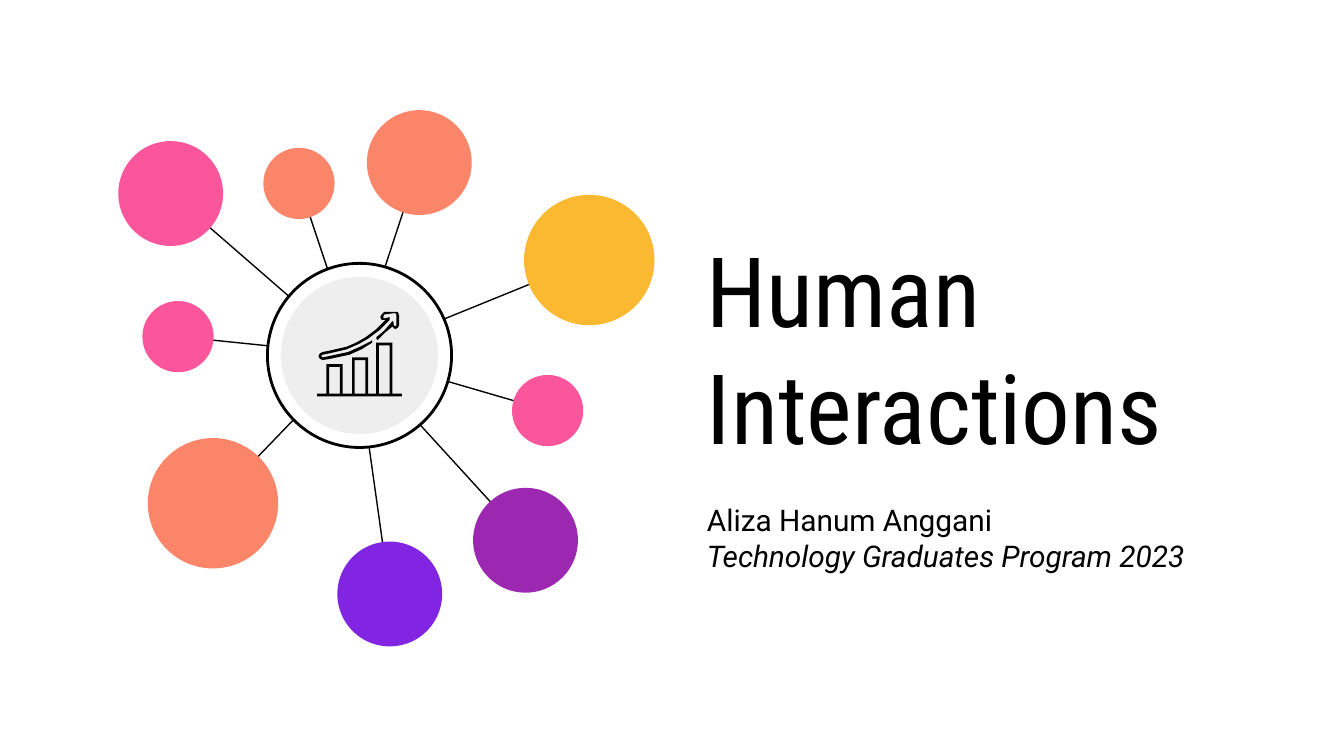
from dataclasses import dataclass

from pptx import Presentation
from pptx.dml.color import RGBColor
from pptx.enum.shapes import MSO_CONNECTOR, MSO_SHAPE
from pptx.enum.text import MSO_ANCHOR, MSO_AUTO_SIZE, PP_ALIGN
from pptx.oxml.ns import qn
from pptx.util import Inches, Pt

Point = tuple[float, float]

BLACK, WHITE, GREY = "000000", "FFFFFF", "EEEEEE"
YELLOW, CORAL, PINK = "FBB831", "FB8569", "FB569C"
PLUM, VIOLET = "9C27B0", "8225E2"
LARGE, MEDIUM, SMALL = 0.97, 0.78, 0.53

WIDTH = Inches(10)
HEIGHT = WIDTH * 9 // 16
HUB = (2.675, 2.645)
JOINT = (2.65, 2.64)  # where the spokes meet


@dataclass
class Node:
    left: float
    top: float
    size: float
    color: str

    @property
    def center(self) -> Point:
        return self.left + self.size / 2, self.top + self.size / 2


@dataclass
class Bar:
    left: float
    top: float


NODES = [
    Node(3.9, 1.45, LARGE, YELLOW),
    Node(1.1, 3.26, LARGE, CORAL),
    Node(2.73, 0.82, MEDIUM, CORAL),
    Node(0.88, 1.05, MEDIUM, PINK),
    Node(3.52, 3.63, MEDIUM, PLUM),
    Node(2.51, 4.03, MEDIUM, VIOLET),
    Node(1.06, 2.24, SMALL, PINK),
    Node(3.81, 2.79, SMALL, PINK),
    Node(1.96, 1.1, SMALL, CORAL),
]

BARS = [Bar(2.45, 2.73), Bar(2.64, 2.68), Bar(2.82, 2.57)]
BAR_WIDTH, EDGE = 0.08, 0.02
AXIS_LEFT, AXIS_RIGHT, AXIS_TOP = 2.36, 2.99, 2.93

ARROW = [
    # upper edge, from the head down to the round tail
    (2.87, 2.38), (2.8, 2.45), (2.72, 2.51), (2.65, 2.55), (2.58, 2.58),
    (2.45, 2.61), (2.4, 2.62), (2.38, 2.63), (2.37, 2.65), (2.38, 2.67),
    # lower edge, out to the gap and back
    (2.4, 2.68), (2.46, 2.67), (2.6, 2.64), (2.69, 2.6), (2.77, 2.55),
    (2.77, 2.53), (2.76, 2.54), (2.68, 2.58), (2.59, 2.62), (2.45, 2.65),
    # hollow of the shaft, up to the head
    (2.4, 2.66), (2.39, 2.65), (2.4, 2.64), (2.45, 2.63), (2.58, 2.6),
    (2.67, 2.56), (2.74, 2.52), (2.82, 2.46), (2.9, 2.38), (2.9, 2.36),
    # inside of the head
    (2.86, 2.37), (2.85, 2.36), (2.86, 2.34), (2.94, 2.33), (2.95, 2.34),
    (2.95, 2.42), (2.94, 2.43), (2.93, 2.42), (2.93, 2.4), (2.92, 2.39),
    # short stroke beyond the gap, then outside of the head
    (2.86, 2.46), (2.8, 2.51), (2.8, 2.52), (2.81, 2.53), (2.86, 2.48),
    (2.92, 2.43), (2.94, 2.45), (2.96, 2.44), (2.97, 2.42), (2.97, 2.35),
    (2.96, 2.32), (2.94, 2.32), (2.86, 2.32), (2.84, 2.34), (2.83, 2.36),
    (2.84, 2.38),
]


def rgb(color: str) -> RGBColor:
    return RGBColor.from_string(color)


def paint(shape, fill: str, line: str | None = None) -> None:
    shape.shadow.inherit = False
    shape.fill.solid()
    shape.fill.fore_color.rgb = rgb(fill)
    if line:
        shape.line.color.rgb = rgb(line)
        shape.line.width = Pt(1.5)
    else:
        shape.line.fill.background()


def disc(shapes, center: Point, size: float, fill: str, line: str | None = None) -> None:
    x, y = center
    side = Inches(size)
    oval = shapes.add_shape(
        MSO_SHAPE.OVAL, Inches(x - size / 2), Inches(y - size / 2), side, side)
    paint(oval, fill, line)


def spoke(shapes, start: Point) -> None:
    ends = [Inches(v) for v in (*start, *JOINT)]
    line = shapes.add_connector(MSO_CONNECTOR.STRAIGHT, *ends)
    line.line.color.rgb = rgb(BLACK)
    line.line.width = Pt(0.75)
    props = line._element.spPr
    props.append(props.makeelement(qn("a:effectLst"), {}))


def outline(shapes, loops: list[list[Point]]) -> None:
    """Fill the first loop in black; further loops are holes."""
    scaled = [[(Inches(x), Inches(y)) for x, y in loop] for loop in loops]
    pen = shapes.build_freeform(*scaled[0][0])
    for i, loop in enumerate(scaled):
        if i:
            pen.move_to(*loop[0])
        pen.add_line_segments(loop[1:], close=True)
    paint(pen.convert_to_shape(), BLACK)


def bar_loops() -> list[list[Point]]:
    rim: list[Point] = [(AXIS_LEFT, AXIS_TOP)]
    holes: list[list[Point]] = []
    for bar in BARS:
        left, right, top = bar.left, bar.left + BAR_WIDTH, bar.top
        rim += [(left - EDGE, AXIS_TOP), (left - EDGE, top - EDGE),
                (right + EDGE, top - EDGE), (right + EDGE, AXIS_TOP)]
        holes.append([(right, top), (right, AXIS_TOP), (left, AXIS_TOP), (left, top)])
    base = AXIS_TOP + EDGE
    rim += [(AXIS_RIGHT, AXIS_TOP), (AXIS_RIGHT, base), (AXIS_LEFT, base)]
    return [rim, *holes]


def write(holder, box: tuple[float, ...], lines: list[str], font: str, size: float) -> None:
    holder.left, holder.top, holder.width, holder.height = map(Inches, box)
    frame = holder.text_frame
    frame.text = "\n".join(lines)
    frame.word_wrap = True
    frame.auto_size = MSO_AUTO_SIZE.NONE
    frame.vertical_anchor = MSO_ANCHOR.MIDDLE
    frame.margin_left = frame.margin_right = Inches(0.1)
    frame.margin_top = frame.margin_bottom = Inches(0.1)
    for par in frame.paragraphs:
        par.alignment = PP_ALIGN.LEFT
        par.space_before = Pt(0)
        par.font.name = font
        par.font.size = Pt(size)
        par.font.color.rgb = rgb(BLACK)


def main() -> None:
    deck = Presentation()
    deck.slide_width, deck.slide_height = WIDTH, HEIGHT
    slide = deck.slides.add_slide(deck.slide_layouts[0])
    shapes = slide.shapes

    write(shapes.title, (5.16, 1.4, 3.76, 2.37), ["Human Interactions"],
          "Roboto Condensed", 52)
    byline = slide.placeholders[1]
    write(byline, (5.16, 3.77, 4.31, 0.46),
          ["Aliza Hanum Anggani", "Technology Graduates Program 2023"], "Roboto", 16)
    byline.text_frame.paragraphs[1].font.italic = True

    for node in NODES:
        spoke(shapes, node.center)
        disc(shapes, node.center, node.size, node.color)

    disc(shapes, HUB, 1.37, WHITE, BLACK)
    disc(shapes, HUB, 1.17, GREY)
    outline(shapes, bar_loops())
    outline(shapes, [ARROW])

    deck.save("out.pptx")


if __name__ == "__main__":
    main()
